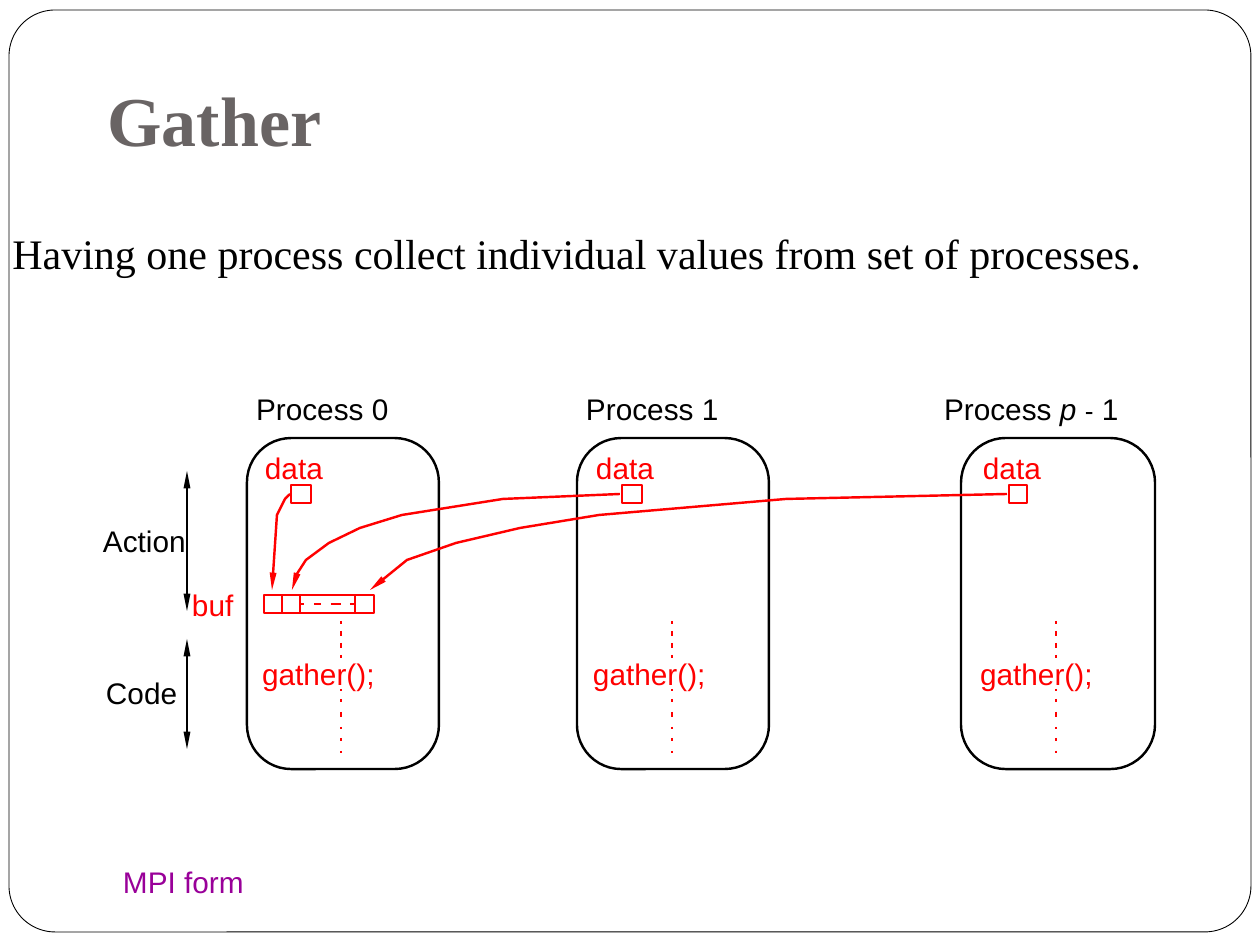
from lxml import etree
from pptx import Presentation
from pptx import util as u
from pptx.dml.color import RGBColor
from pptx.enum import shapes, text
from pptx.oxml.ns import qn

PX = 914400 / 126
BLACK = RGBColor(0x00, 0x00, 0x00)
WHITE = RGBColor(0xFF, 0xFF, 0xFF)
RED = RGBColor(0xFF, 0x00, 0x00)
GREY = RGBColor(0x69, 0x64, 0x64)
PURPLE = RGBColor(0x99, 0x00, 0x99)
WIDTH = 1.39

# Content: a run is (text, format values that differ)
TITLE = "Gather"
INTRO = "Having one process collect individual values from set of processes."
LAST = [("Process ", {}), ("p", {"italic": True}), (" ", {}),
        ("-", {"size": u.Pt(15)}), (" 1", {})]
# name runs, name x, box x, box width, parts x, data cell width, code line x
PROCS = [
    ([("Process 0", {})], 256, 247, 192, 262, 20, 341),
    ([("Process 1", {})], 586, 577, 192, 593, 20, 672),
    (LAST, 944, 961, 194, 980, 18, 1056),
]
TICKS = [(621, 624), (631, 636), (643, 648), (655, 658), (689, 691),
         (699, 702), (712, 717), (727, 729), (738, 741), (751, 753)]
# label, x, y, width, colour
LABELS = [("Action", 103, 523, 84, BLACK), ("Code", 106, 675, 74, BLACK),
          ("buf", 192, 587, 44, RED), ("MPI form", 123, 864, 140, PURPLE)]
SPANS = [(471, 611), (639, 749)]
SPLITS = [282, 300, 355]
DASHES = [(300, 304), (314, 321), (331, 341), (350, 355)]
# Paths from each data cell to its slot in buf
ROUTES = [
    [(290, 494), (285, 499), (277, 515), (272, 590)],
    [(620, 494), (503, 499), (402, 515), (360, 528), (329, 543),
     (306, 560), (295, 577), (292, 590)],
    [(1007, 494), (786, 499), (599, 515), (520, 528), (456, 543),
     (407, 560), (370, 590)],
]

prs = Presentation()
prs.slide_width, prs.slide_height = u.Inches(10), u.Inches(7.5)
slide = prs.slides.add_slide(prs.slide_layouts[5])
parts = slide.shapes


def px(*vals):
    return [round(v * PX) for v in vals]


def style(line, col, width=WIDTH):
    line.color.rgb = col
    line.width = u.Pt(width)


def heads(shape, *ends):
    ln = shape.line._get_or_add_ln()
    for end in ends:
        etree.SubElement(ln, qn("a:" + end), type="triangle", w="sm", len="lg")


def box(kind, x, y, w, h, col, width=WIDTH, adj=None):
    shape = parts.add_shape(kind, *px(x, y, w, h))
    shape.shadow.inherit = False
    shape.fill.background()
    style(shape.line, col, width)
    if adj is not None:
        shape.adjustments[0] = adj
    return shape


def rule(x1, y1, x2, y2, col=RED):
    line = parts.add_connector(shapes.MSO_CONNECTOR.STRAIGHT, *px(x1, y1, x2, y2))
    style(line.line, col)
    etree.SubElement(line._element.spPr, qn("a:effectLst"))
    return line


def write(shape, runs, frame, **base):
    tf = shape.text_frame
    for key, val in frame.items():
        setattr(tf, key, val)
    para = tf.paragraphs[0]
    para.alignment = text.PP_ALIGN.LEFT
    for words, extra in runs:
        run = para.add_run()
        run.text = words
        for key, val in {**base, **extra}.items():
            if key == "color":
                run.font.color.rgb = val
            else:
                setattr(run.font, key, val)


def label(runs, x, y, w, col):
    edges = {f"margin_{side}": 0 for side in ("left", "top", "right", "bottom")}
    write(parts.add_textbox(*px(x, y, w, 35)), runs, {**edges, "word_wrap": False},
          name="Arial", size=u.Pt(17), color=col)


ROUND = shapes.MSO_SHAPE.ROUNDED_RECTANGLE
RECT = shapes.MSO_SHAPE.RECTANGLE

# Page frame, behind the title
page = box(ROUND, 9, 10, 1242, 922, BLACK, 0.5, 0.05)
page.fill.solid()
page.fill.fore_color.rgb = WHITE
parts._spTree.insert(2, page._element)

# Title and intro
head = parts.title
head.left, head.top, head.width, head.height = px(95, 16, 1071, 157)
write(head, [(TITLE, {})],
      {"vertical_anchor": text.MSO_ANCHOR.BOTTOM, "auto_size": text.MSO_AUTO_SIZE.NONE,
       "margin_bottom": u.Inches(0.1)},
      name="Times New Roman", size=u.Pt(40), bold=True, color=GREY)
write(parts.add_textbox(*px(0, 221, 1260, 63)), [(INTRO, {})], {"word_wrap": True},
      name="Times New Roman", size=u.Pt(24), color=BLACK)

# Processes with data cell, code and dotted line
for name, nx, bx, bw, x, cw, tx in PROCS:
    label(name, nx, 391, 210, BLACK)
    box(ROUND, bx, 438, bw, 331, BLACK, adj=0.23)
    label([("data", {})], x + 3, 450, 64, RED)
    box(RECT, x + 29, 485, cw, 18, RED)
    label([("gather();", {})], x, 656, 120, RED)
    for top, end in TICKS:
        rule(tx, top, tx, end)

# Buffer with its slots
box(RECT, 264, 595, 110, 18, RED)
for x in SPLITS:
    rule(x, 595, x, 613)
for left, right in DASHES:
    rule(left, 604, right, 604)

# Gather arrows
for start, *rest in ROUTES:
    path = parts.build_freeform(*start, scale=PX)
    path.add_line_segments(rest, close=False)
    arrow = path.convert_to_shape()
    arrow.shadow.inherit = False
    arrow.fill.background()
    style(arrow.line, RED)
    heads(arrow, "tailEnd")

# Side labels and spans
for words, *place in LABELS:
    label([(words, {})], *place)
for top, end in SPANS:
    heads(rule(187, top, 187, end, BLACK), "headEnd", "tailEnd")

prs.save("out.pptx")
